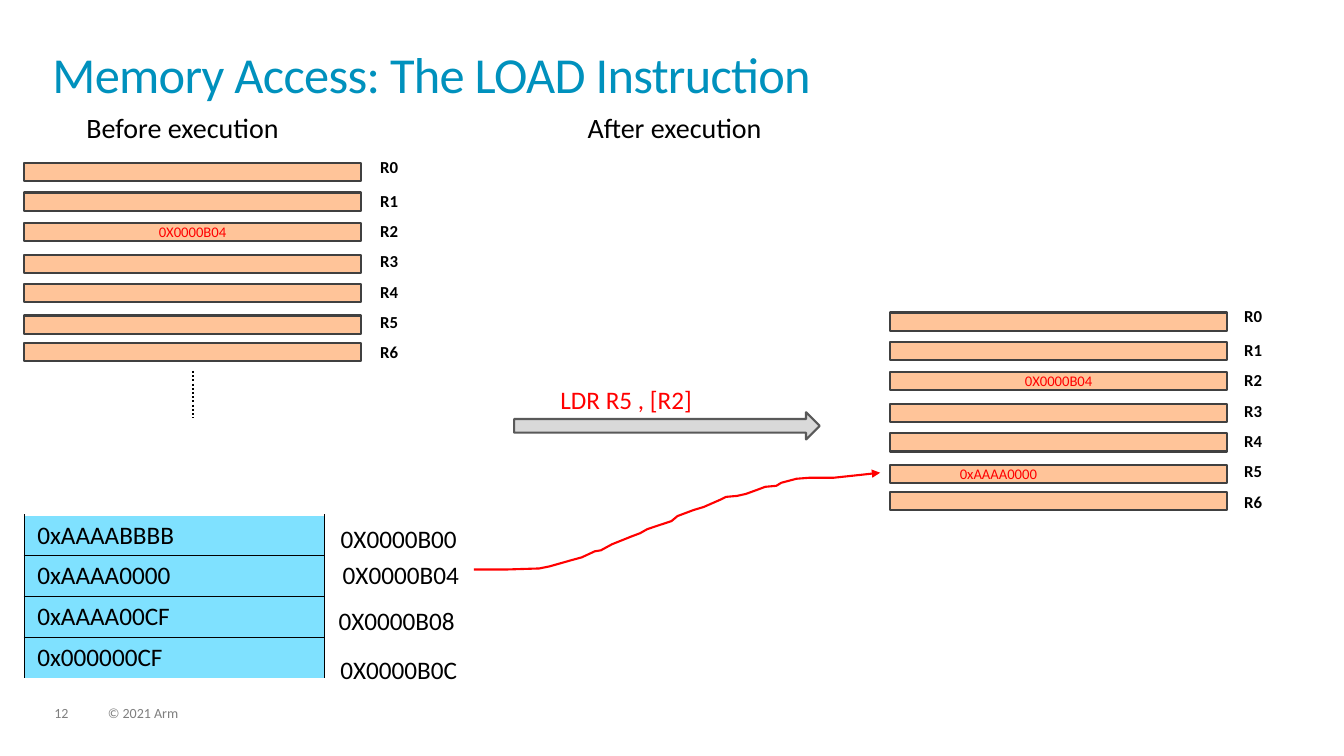
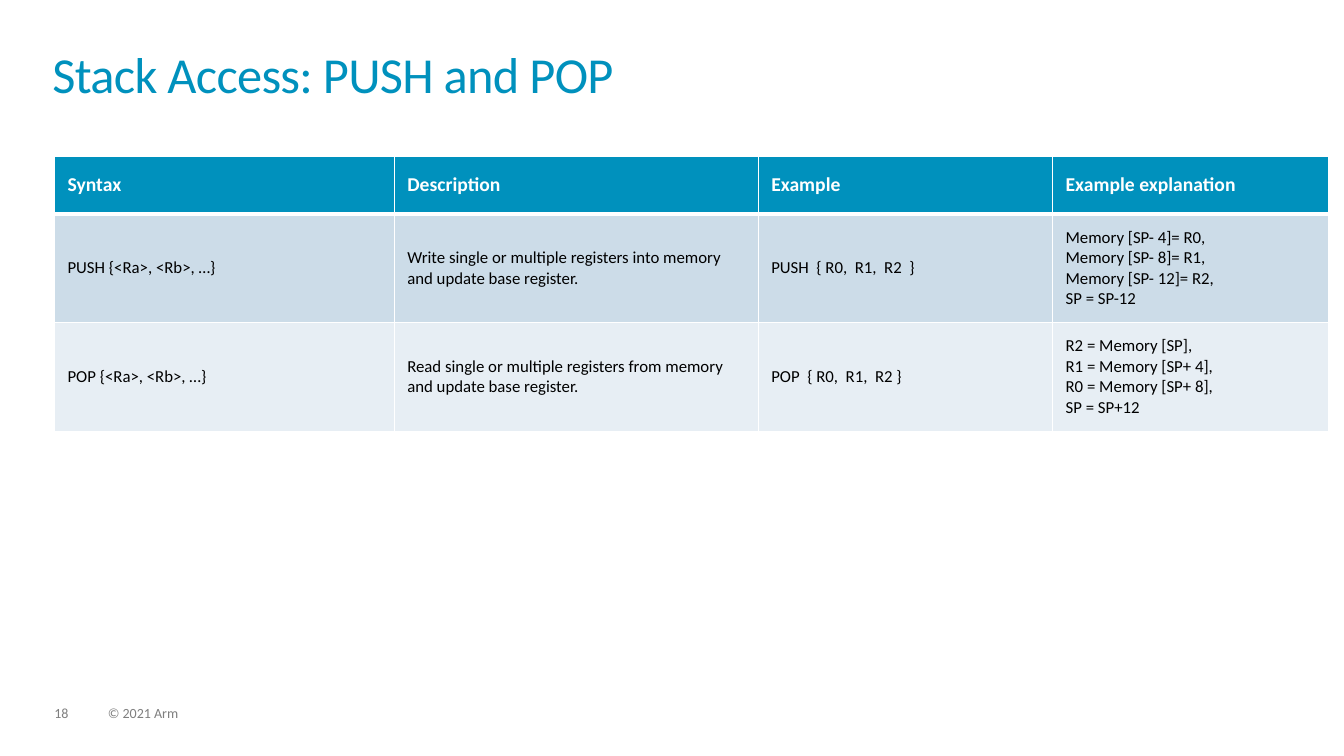
from dataclasses import dataclass

from lxml import etree
from pptx import Presentation
from pptx.dml.color import RGBColor
from pptx.enum.dml import MSO_LINE
from pptx.enum.shapes import MSO_CONNECTOR, MSO_SHAPE
from pptx.enum.text import MSO_ANCHOR, PP_ALIGN
from pptx.oxml.ns import qn
from pptx.util import Inches, Pt


@dataclass(frozen=True)
class Theme:
    font: str = "Calibri"
    accent: str = "0091BD"
    black: str = "000000"
    white: str = "FFFFFF"
    grey: str = "7F7F7F"
    red: str = "FF0000"
    register: str = "FFC499"
    register_line: str = "404040"
    memory: str = "7FE1FF"
    arrow: str = "D9D9D9"
    arrow_line: str = "595959"
    bands: tuple = ("CCDCE8", "E7EEF4")
    title: float = 36
    heading: float = 20
    body: float = 18
    table_head: float = 14
    small: float = 12
    value: float = 10.5
    footer: float = 10
    line: float = 1.5


THEME = Theme()
COPYRIGHT = "© 2021 Arm"

LOAD_TITLE = "Memory Access: The LOAD Instruction"
LOAD_NUMBER = "12"
HEADINGS = [("Before execution", 0.76), ("After execution", 5.73)]
INSTRUCTION = "LDR R5 , [R2]"
REGISTERS = [f"R{i}" for i in range(7)]
REGISTER_OFFSETS = [0, 0.29, 0.59, 0.91, 1.2, 1.51, 1.78]
REGISTER_WIDTH = 3.34
# left, top, left of the names, {register: (value, left inset or None to centre)}
REGISTER_BANKS = [
    (0.24, 1.62, 3.64, {"R2": ("0X0000B04", None)}),
    (8.83, 3.1, 12.21, {"R2": ("0X0000B04", None), "R5": ("0xAAAA0000", 0.69)}),
]
MEMORY = ["0xAAAABBBB", "0xAAAA0000", "0xAAAA00CF", "0x000000CF"]
ADDRESSES = [
    ("0X0000B00", 3.25, 5.14),
    ("0X0000B04", 3.27, 5.5),
    ("0X0000B08", 3.23, 5.96),
    ("0X0000B0C", 3.25, 6.44),
]
LOAD_PATH = [
    (4.7, 5.65), (5.03, 5.65), (5.35, 5.64), (5.45, 5.62), (5.66, 5.56), (5.77, 5.53),
    (5.9, 5.47), (5.96, 5.46), (6.07, 5.4), (6.27, 5.32), (6.35, 5.29), (6.42, 5.25),
    (6.51, 5.22), (6.66, 5.17), (6.72, 5.12), (6.88, 5.06), (6.98, 5.03), (7.14, 4.96),
    (7.2, 4.93), (7.31, 4.92), (7.4, 4.9), (7.51, 4.86), (7.59, 4.83), (7.7, 4.82),
    (7.75, 4.79), (7.9, 4.75), (8.03, 4.74), (8.27, 4.74), (8.55, 4.71), (8.73, 4.69),
]

STACK_TITLE = "Stack Access: PUSH and POP"
STACK_NUMBER = "18"
STACK_COLUMNS = [3.37, 3.61, 2.92, 2.74]
STACK_ROWS = [
    ("Syntax", "Description", "Example", "Example explanation"),
    (
        "PUSH {<Ra>, <Rb>, …}",
        "Write single or multiple registers into memory and update base register.",
        "PUSH  { R0,  R1,  R2  }",
        "Memory [SP- 4]= R0,\nMemory [SP- 8]= R1,\nMemory [SP- 12]= R2,\nSP = SP-12",
    ),
    (
        "POP {<Ra>, <Rb>, …}",
        "Read single or multiple registers from memory and update base register.",
        "POP  { R0,  R1,  R2 }",
        "R2 = Memory [SP],\nR1 = Memory [SP+ 4],\nR0 = Memory [SP+ 8],\nSP = SP+12",
    ),
]


def rgb(colour):
    return RGBColor.from_string(colour)


def style_text(frame, size, colour, bold=False, align=PP_ALIGN.LEFT):
    for paragraph in frame.paragraphs:
        paragraph.alignment = align
        font = paragraph.font
        font.name, font.size, font.bold = THEME.font, Pt(size), bold
        font.color.rgb = rgb(colour)


def set_insets(frame, horizontal, vertical):
    frame.margin_left = frame.margin_right = Inches(horizontal)
    frame.margin_top = frame.margin_bottom = Inches(vertical)


def add_text(slide, text, box, size, colour, align=PP_ALIGN.LEFT):
    frame = slide.shapes.add_textbox(*map(Inches, box)).text_frame
    frame.word_wrap = True
    frame.text = text
    style_text(frame, size, colour, align=align)
    return frame


def add_tight_text(slide, text, box, size, colour, spacing):
    """Text box without insets; returns its paragraph."""
    frame = add_text(slide, text, box, size, colour)
    set_insets(frame, 0, 0)
    paragraph = frame.paragraphs[0]
    paragraph.line_spacing = spacing
    return paragraph


def add_slide(presentation, title, number):
    """Blank slide with the shared title and footer."""
    slide = presentation.slides.add_slide(presentation.slide_layouts[6])
    for text, left, width in ((number, 0.54, 0.34), (COPYRIGHT, 1.07, 5.07)):
        add_tight_text(slide, text, (left, 7.01, width, 0.15), THEME.footer, THEME.grey, 0.9)
    paragraph = add_tight_text(slide, title, (0.52, 0.52, 12.28, 0.72),
                               THEME.title, THEME.accent, 0.85)
    next(paragraph._p.iter(qn("a:defRPr"))).set("spc", "-50")
    return slide


def add_block(slide, kind, box, fill, line):
    shape = slide.shapes.add_shape(kind, *map(Inches, box))
    shape.shadow.inherit = False
    shape.fill.solid()
    shape.fill.fore_color.rgb = rgb(fill)
    shape.line.color.rgb = rgb(line)
    shape.line.width = Pt(THEME.line)
    return shape


def set_borders(cell, colour, sides):
    """Draw the borders in sides, a dict of L, R, T, B to a width in points."""
    properties = cell._tc.get_or_add_tcPr()
    drawn = [side for side in "LRTB" if side in sides]
    for position, side in enumerate(drawn):
        border = etree.Element(qn(f"a:ln{side}"), w=str(Pt(sides[side])))
        fill = etree.SubElement(border, qn("a:solidFill"))
        etree.SubElement(fill, qn("a:srgbClr"), val=colour)
        properties.insert(position, border)


def add_table(slide, rows, left, top, widths, heights):
    """Unbanded table holding the texts; returns its cells row by row."""
    box = map(Inches, (left, top, sum(widths), sum(heights)))
    table = slide.shapes.add_table(len(rows), len(widths), *box).table
    table.first_row = table.horz_banding = False
    for column, width in zip(table.columns, widths):
        column.width = Inches(width)
    for row, height in zip(table.rows, heights):
        row.height = Inches(height)
    cells = [list(row.cells) for row in table.rows]
    for row, texts in zip(cells, rows):
        for cell, text in zip(row, texts):
            cell.text_frame.text = text
            set_insets(cell, 0.13, 0.05)
    return cells


def style_cell(cell, fill, size, colour, bold=False):
    cell.fill.solid()
    cell.fill.fore_color.rgb = rgb(fill)
    style_text(cell.text_frame, size, colour, bold)


def add_register_bank(slide, left, top, names_left, values):
    for name, offset in zip(REGISTERS, REGISTER_OFFSETS):
        shape = add_block(slide, MSO_SHAPE.RECTANGLE, (left, top + offset, REGISTER_WIDTH, 0.18),
                          THEME.register, THEME.register_line)
        if name in values:
            text, inset = values[name]
            frame = shape.text_frame
            frame.text = text
            frame.vertical_anchor = MSO_ANCHOR.MIDDLE
            set_insets(frame, 0, 0)
            frame.margin_left = Inches(inset or 0)
            style_text(frame, THEME.value, THEME.red,
                       align=PP_ALIGN.CENTER if inset is None else PP_ALIGN.LEFT)
    names = [(name,) for name in REGISTERS]
    heights = [0.34] + [0.3] * (len(names) - 1)
    for (cell,) in add_table(slide, names, names_left, top - 0.11, [0.97], heights):
        style_cell(cell, THEME.white, THEME.small, THEME.black, bold=True)
        set_borders(cell, THEME.white, dict.fromkeys("LRTB", 1))


def add_memory(slide):
    count = len(MEMORY)
    cells = add_table(slide, [(word,) for word in MEMORY], 0.24, 5.11, [2.98],
                      [1.62 / count] * count)
    for index, (cell,) in enumerate(cells):
        style_cell(cell, THEME.memory, THEME.body, THEME.black)
        sides = "LR" + "T" * (index > 0) + "B" * (index < count - 1)
        set_borders(cell, THEME.black, dict.fromkeys(sides, 1))
    for address, left, top in ADDRESSES:
        add_text(slide, address, (left, top, 1.41, 0.4), THEME.body, THEME.black,
                 PP_ALIGN.CENTER)


def add_load_path(slide):
    """Red curve with an arrowhead, from the memory word to its register."""
    start, *points = [(Inches(x), Inches(y)) for x, y in LOAD_PATH]
    builder = slide.shapes.build_freeform(*start)
    builder.add_line_segments(points, close=False)
    curve = builder.convert_to_shape()
    curve.shadow.inherit = False
    curve.fill.background()
    curve.line.color.rgb = rgb(THEME.red)
    curve.line.width = Pt(THEME.line)
    line = next(curve.element.iter(qn("a:ln")))
    etree.SubElement(line, qn("a:tailEnd"), type="triangle")


def add_dotted_line(slide):
    ends = map(Inches, (1.91, 3.68, 1.91, 4.14))
    connector = slide.shapes.add_connector(MSO_CONNECTOR.STRAIGHT, *ends)
    connector.line.color.rgb = rgb(THEME.black)
    connector.line.width = Pt(THEME.line)
    connector.line.dash_style = MSO_LINE.ROUND_DOT
    etree.SubElement(connector.element.find(qn("p:spPr")), qn("a:effectLst"))


def build_load_slide(presentation):
    slide = add_slide(presentation, LOAD_TITLE, LOAD_NUMBER)
    for heading, left in HEADINGS:
        add_text(slide, heading, (left, 1.05, 2.6, 0.44), THEME.heading, THEME.black)
    for bank in REGISTER_BANKS:
        add_register_bank(slide, *bank)
    add_dotted_line(slide)
    add_block(slide, MSO_SHAPE.RIGHT_ARROW, (5.1, 4.09, 3.03, 0.27),
              THEME.arrow, THEME.arrow_line)
    add_text(slide, INSTRUCTION, (5.46, 3.76, 2.31, 0.4), THEME.body, THEME.red)
    add_memory(slide)
    add_load_path(slide)


def build_stack_slide(presentation):
    slide = add_slide(presentation, STACK_TITLE, STACK_NUMBER)
    header, *body = add_table(slide, STACK_ROWS, 0.54, 1.55, STACK_COLUMNS, [0.57, 1.08, 1.08])
    thin = dict.fromkeys("LRTB", 1)
    for cell in header:
        style_cell(cell, THEME.accent, THEME.table_head, THEME.white, bold=True)
        set_borders(cell, THEME.white, {**thin, "B": 3})
    for index, (row, band) in enumerate(zip(body, THEME.bands)):
        for cell in row:
            style_cell(cell, band, THEME.small, THEME.black)
            set_borders(cell, THEME.white, thin if index else {**thin, "T": 3})
    for cell in sum(body, header):
        cell.vertical_anchor = MSO_ANCHOR.MIDDLE


def main():
    presentation = Presentation()
    presentation.slide_width, presentation.slide_height = Inches(13.33), Inches(7.5)
    build_load_slide(presentation)
    build_stack_slide(presentation)
    presentation.save("out.pptx")


if __name__ == "__main__":
    main()
